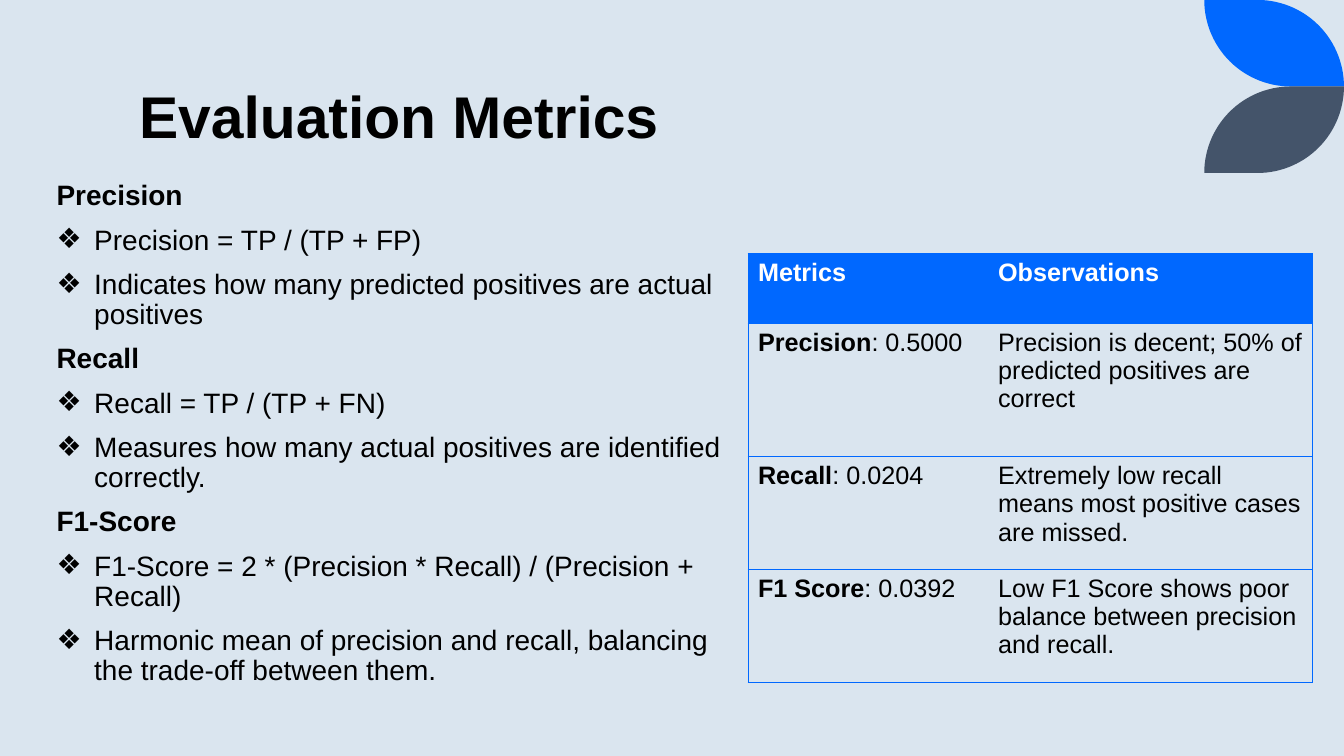
from dataclasses import dataclass
from math import cos, radians, sin

from lxml import etree
from pptx import Presentation
from pptx.dml.color import RGBColor
from pptx.enum.text import MSO_ANCHOR, MSO_AUTO_SIZE, PP_ALIGN
from pptx.oxml.ns import qn
from pptx.util import Cm, Pt

LEFT = PP_ALIGN.LEFT
TOP, BOTTOM = MSO_ANCHOR.TOP, MSO_ANCHOR.BOTTOM
NO_FIT = MSO_AUTO_SIZE.NONE


@dataclass(frozen=True)
class Theme:
    font: str = "Arial"
    back: str = "DAE5EF"
    blue: str = "0068FF"
    slate: str = "44546A"
    ink: str = "000000"
    white: str = "FFFFFF"
    head: int = 42
    body: int = 20
    cell: int = 18
    rule: float = 0.5


THEME = Theme()
WIDE, HIGH = 33.87, 19.05

METRICS = [
    ("Precision", ["Precision = TP / (TP + FP)",
                   "Indicates how many predicted positives are actual positives"]),
    ("Recall", ["Recall = TP / (TP + FN)",
                "Measures how many actual positives are identified correctly."]),
    ("F1-Score", ["F1-Score = 2 * (Precision * Recall) / (Precision + Recall)",
                  "Harmonic mean of precision and recall, balancing "
                  "the trade-off between them."]),
]
HEADS = ["Metrics", "Observations"]
RESULTS = [
    ("Precision", ": 0.5000",
     "Precision is decent; 50% of predicted positives are correct"),
    ("Recall", ": 0.0204",
     "Extremely low recall means most positive cases are missed."),
    ("F1 Score", ": 0.0392",
     "Low F1 Score shows poor balance between precision and recall."),
]


def color(code):
    return RGBColor.from_string(code)


def write(para, text, size=THEME.body, ink=THEME.ink, bold=False):
    """Add one formatted run to a paragraph."""
    run = para.add_run()
    run.text = text
    font = run.font
    font.name, font.size, font.bold = THEME.font, Pt(size), bold
    font.color.rgb = color(ink)


def place(shape, box, anchor):
    """Move a placeholder into its box and ready its text frame."""
    shape.left, shape.top, shape.width, shape.height = map(Cm, box)
    frame = shape.text_frame
    frame.word_wrap, frame.auto_size = True, NO_FIT
    frame.vertical_anchor = anchor
    return frame


def bullet(para, mark=None, indent=0.95):
    """Give a paragraph a hanging bullet, or none at all."""
    props = para._p.get_or_add_pPr()
    hang = Cm(indent) if mark else 0
    props.set("marL", str(hang))
    props.set("indent", str(-hang))
    if mark:
        etree.SubElement(props, qn("a:buChar"), char=mark)
    else:
        etree.SubElement(props, qn("a:buNone"))


def border(cell, sides):
    """Draw the listed sides of a cell and clear the others."""
    props = cell._tc.get_or_add_tcPr()
    for side in "LRTB":
        line = etree.SubElement(props, qn(f"a:ln{side}"), w=str(Pt(THEME.rule)))
        if side in sides:
            fill = etree.SubElement(line, qn("a:solidFill"))
            etree.SubElement(fill, qn("a:srgbClr"), val=THEME.blue)
        else:
            etree.SubElement(line, qn("a:noFill"))


def leaf(slide, box, fill, flip=False):
    """Draw a leaf bounded by two quarter circles."""
    x, y, wide, high = box
    steps = range(0, 91, 3)
    outer = [(wide - high + high * sin(radians(a)),
              high - high * cos(radians(a))) for a in steps]
    inner = [(high - high * sin(radians(a)),
              high * cos(radians(a))) for a in steps]
    points = [(Cm(x + px), Cm(y + (high - py if flip else py)))
              for px, py in [(0, 0)] + outer + inner]
    path = slide.shapes.build_freeform(*points[0])
    path.add_line_segments(points[1:], close=True)
    shape = path.convert_to_shape()
    shape.shadow.inherit = False
    shape.fill.solid()
    shape.fill.fore_color.rgb = color(fill)
    shape.line.fill.background()


def corner(slide, box):
    x, y, wide, high = box
    half = high / 2
    leaf(slide, (x, y, wide, half), THEME.blue)
    leaf(slide, (x, y + half, wide, half), THEME.slate, flip=True)


def title(slide, box):
    para = place(slide.shapes.title, box, BOTTOM).paragraphs[0]
    para.alignment, para.line_spacing = LEFT, 0.8
    write(para, "Evaluation Metrics", size=THEME.head, bold=True)


def notions(slide, box):
    frame = place(slide.placeholders[1], box, TOP)
    lines = [(text, mark) for name, facts in METRICS
             for text, mark in [(name, None)] + [(f, "❖") for f in facts]]
    for i, (text, mark) in enumerate(lines):
        para = frame.add_paragraph() if i else frame.paragraphs[0]
        para.alignment, para.line_spacing = LEFT, 0.9
        para.space_before = Pt(10)
        bullet(para, mark)
        write(para, text, bold=mark is None)


def results(slide, box):
    grid = slide.shapes.add_table(len(RESULTS) + 1, 2, *map(Cm, box)).table
    grid.horz_banding = False
    for col, wide in zip(grid.columns, (6.05, box[2] - 6.05)):
        col.width = Cm(wide)
    for row, high in zip(grid.rows, (1.77, 3.36, 2.84, 2.84)):
        row.height = Cm(high)

    # Borders and fills
    for r, row in enumerate(grid.rows):
        for c, cell in enumerate(row.cells):
            border(cell, "LTB" if c == 0 else "RTB")
            if r:
                cell.fill.background()
            else:
                cell.fill.solid()
                cell.fill.fore_color.rgb = color(THEME.blue)

    # Wording
    for c, text in enumerate(HEADS):
        para = grid.cell(0, c).text_frame.paragraphs[0]
        write(para, text, size=THEME.cell, ink=THEME.white, bold=True)
    for r, (name, value, note) in enumerate(RESULTS, 1):
        para = grid.cell(r, 0).text_frame.paragraphs[0]
        write(para, name, size=THEME.cell, bold=True)
        write(para, value, size=THEME.cell)
        write(grid.cell(r, 1).text_frame.paragraphs[0], note, size=THEME.cell)


def main():
    deck = Presentation()
    deck.slide_width, deck.slide_height = Cm(WIDE), Cm(HIGH)
    slide = deck.slides.add_slide(deck.slide_layouts[1])
    back = slide.background.fill
    back.solid()
    back.fore_color.rgb = color(THEME.back)

    corner(slide, (WIDE - 3.52, 0, 3.52, 4.36))
    title(slide, (3.25, 1.27, 26.92, 2.62))
    notions(slide, (1.17, 4.45, 17.68, 14.22))
    results(slide, (18.85, 6.38, 14.22, 10.81))
    deck.save("out.pptx")


if __name__ == "__main__":
    main()
